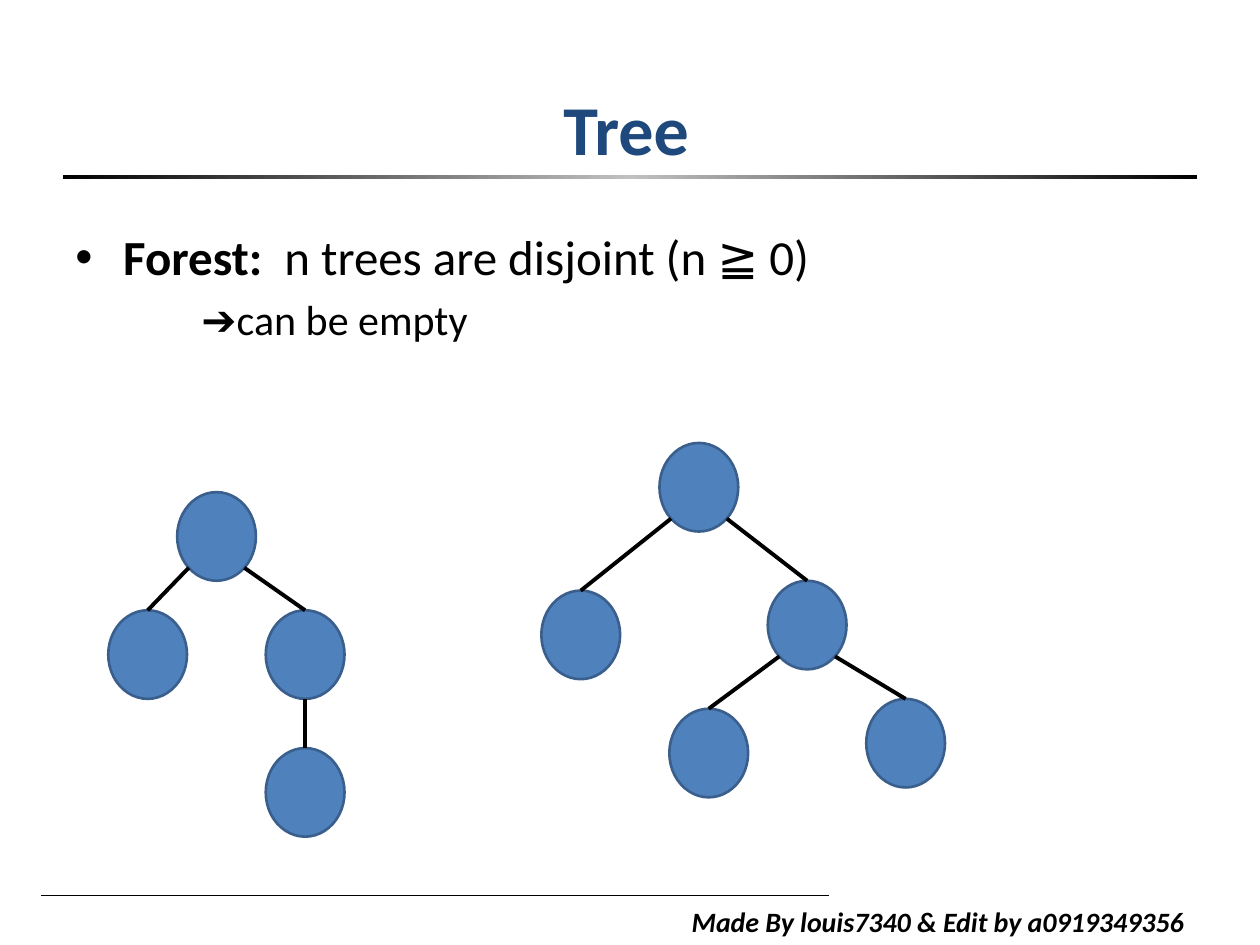
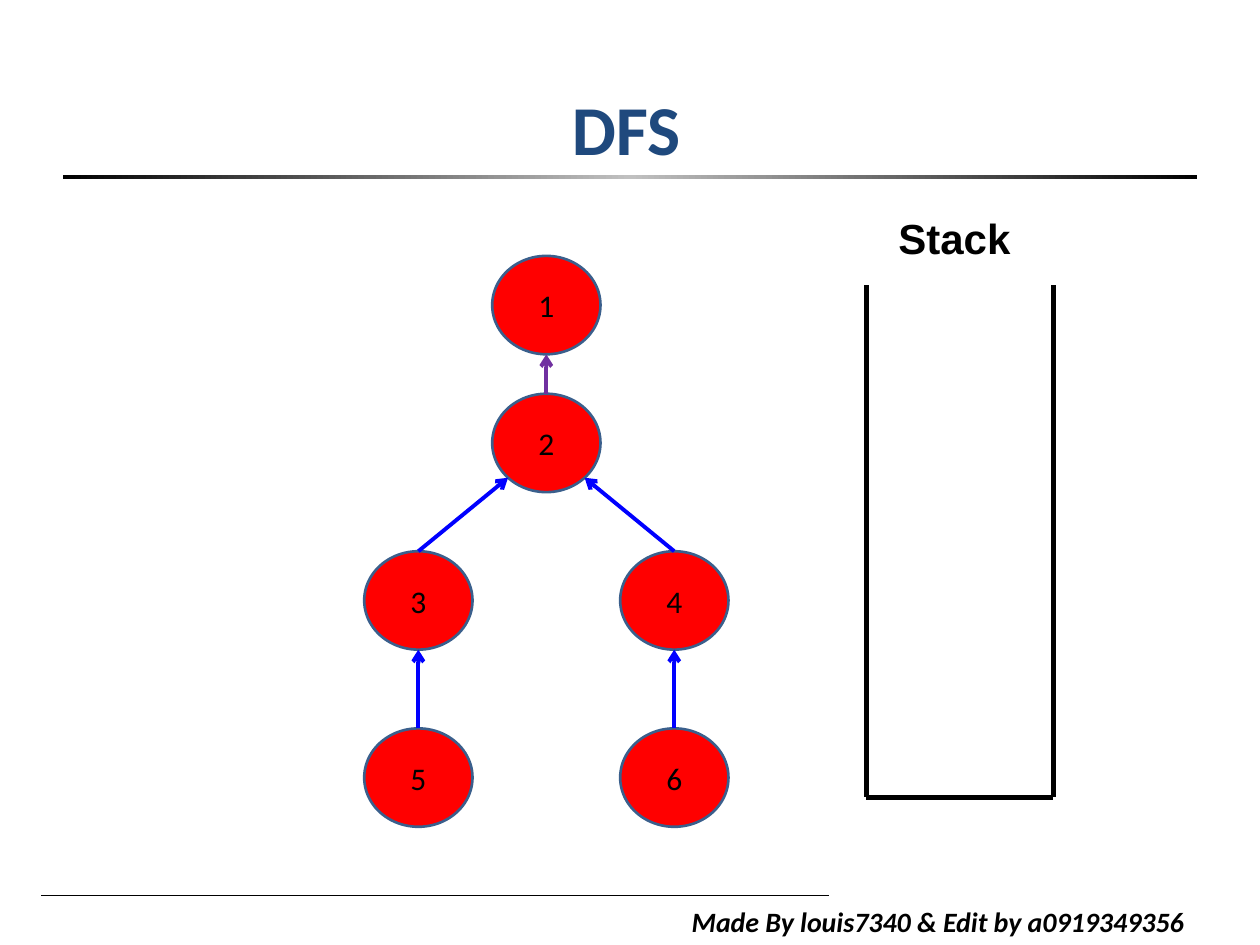
from copy import deepcopy
from dataclasses import dataclass
from math import sqrt

from lxml import etree
from pptx import Presentation
from pptx.dml.color import RGBColor
from pptx.enum.shapes import MSO_CONNECTOR, MSO_SHAPE
from pptx.enum.text import MSO_ANCHOR, PP_ALIGN
from pptx.oxml.ns import qn
from pptx.util import Inches, Pt

STRAIGHT = MSO_CONNECTOR.STRAIGHT
OVAL, RECTANGLE = MSO_SHAPE.OVAL, MSO_SHAPE.RECTANGLE
TOP, MIDDLE = MSO_ANCHOR.TOP, MSO_ANCHOR.MIDDLE
LEFT, CENTER = PP_ALIGN.LEFT, PP_ALIGN.CENTER

# The slide is a grid of 128 columns by 96 rows of square cells
WIDTH, HEIGHT = Inches(10), Inches(7.5)
CELL = WIDTH / 128
TOP_SITE = 0

BLACK, SILVER, NAVY = "000000", "C0C0C0", "1F497D"
BLUE, OUTLINE, RED = "4F81BD", "3A5F8C", "FF0000"
PURPLE, ARROW_BLUE = "7030A0", "0000FF"


@dataclass(frozen=True)
class NodeStyle:
    columns: int
    rows: int
    fill: str


@dataclass(frozen=True)
class Node:
    key: str
    column: int
    row: int
    label: str = ""


@dataclass(frozen=True)
class Edge:
    child: str
    parent: str
    side: int = 0  # -1 lower left, 0 bottom, 1 lower right of the parent
    color: str = BLACK


FOREST_STYLE = NodeStyle(8, 9, BLUE)
FOREST_NODES = [
    Node("right root", 67, 45), Node("right a", 55, 60), Node("right b", 78, 59),
    Node("right c", 68, 72), Node("right d", 88, 71),
    Node("left root", 18, 50), Node("left a", 11, 62), Node("left b", 27, 62),
    Node("left c", 27, 76),
]
FOREST_EDGES = [
    Edge("left a", "left root", -1), Edge("left b", "left root", 1),
    Edge("left c", "left b"),
    Edge("right a", "right root", -1), Edge("right b", "right root", 1),
    Edge("right c", "right b", -1), Edge("right d", "right b", 1),
]

DFS_STYLE = NodeStyle(11, 10, RED)
DFS_NODES = [
    Node(number, column, row, number)
    for number, column, row in [("1", 50, 26), ("2", 50, 40), ("3", 37, 56),
                                ("5", 37, 74), ("4", 63, 56), ("6", 63, 74)]
]
DFS_EDGES = [
    Edge("2", "1", 0, PURPLE), Edge("3", "2", -1, ARROW_BLUE),
    Edge("5", "3", 0, ARROW_BLUE), Edge("6", "4", 0, ARROW_BLUE),
    Edge("4", "2", 1, ARROW_BLUE),
]


def rgb(color: str) -> RGBColor:
    return RGBColor.from_string(color)


def cells(*counts: float) -> list[int]:
    return [round(count * CELL) for count in counts]


def write(paragraph, text: str, *, size: float, color: str = BLACK,
          font: str = "Calibri", bold: bool = False, italic: bool = False,
          align=LEFT) -> None:
    paragraph.alignment = align
    run = paragraph.add_run()
    run.text = text
    run.font.name, run.font.size = font, Pt(size)
    run.font.bold, run.font.italic = bold, italic
    run.font.color.rgb = rgb(color)


def text_frame(slide, column: float, row: float, columns: float, rows: float,
               anchor=TOP):
    frame = slide.shapes.add_textbox(*cells(column, row, columns, rows)).text_frame
    frame.word_wrap = True
    frame.vertical_anchor = anchor
    return frame


def indent(paragraph, left: float, first: float, bullet: str = "") -> None:
    properties = paragraph._p.get_or_add_pPr()
    properties.set("marL", str(Inches(left)))
    properties.set("indent", str(Inches(first)))
    if bullet:
        etree.SubElement(properties, qn("a:buFont"), typeface="Arial")
        etree.SubElement(properties, qn("a:buChar"), char=bullet)


def add_line(slide, start: tuple, end: tuple, *, color: str = BLACK,
             width: float = 2.25, arrow: bool = False):
    line = slide.shapes.add_connector(STRAIGHT, *cells(*start, *end))
    line.line.color.rgb = rgb(color)
    line.line.width = Pt(width)
    if arrow:
        etree.SubElement(line.line._get_or_add_ln(), qn("a:tailEnd"), type="arrow")
    etree.SubElement(line._element.spPr, qn("a:effectLst"))
    return line


def add_title_band(slide) -> None:
    band = slide.shapes.add_shape(RECTANGLE, *cells(6.4, 17.8, 115.2, 0.4))
    band.shadow.inherit = False
    band.line.fill.background()
    band.fill.gradient()
    band.fill.gradient_angle = 0
    stop_list = band._element.spPr.find(qn("a:gradFill")).find(qn("a:gsLst"))
    stop_list.append(deepcopy(stop_list[-1]))
    for stop, position, color in zip(band.fill.gradient_stops, (0, 0.5, 1),
                                     (BLACK, SILVER, BLACK)):
        stop.position = position
        stop.color.rgb = rgb(color)


def add_base_slide(deck, title: str):
    slide = deck.slides.add_slide(deck.slide_layouts[6])
    # Footer
    add_line(slide, (4.2, 91), (84.2, 91), width=0.5)
    footer = text_frame(slide, 69, 91.25, 57.25, 8 - 3.25)
    write(footer.paragraphs[0], "Made By louis7340 & Edit by a0919349356",
          size=16, bold=True, italic=True)
    # Title
    add_title_band(slide)
    heading = text_frame(slide, 6, 5, 115.2, 16, MIDDLE)
    write(heading.paragraphs[0], title, size=40, color=NAVY, bold=True, align=CENTER)
    return slide


def add_graph(slide, nodes: list[Node], edges: list[Edge], style: NodeStyle,
              arrow: bool = False) -> None:
    ovals = {}
    for node in nodes:
        oval = slide.shapes.add_shape(
            OVAL, *cells(node.column, node.row, style.columns, style.rows))
        oval.shadow.inherit = False
        oval.fill.solid()
        oval.fill.fore_color.rgb = rgb(style.fill)
        oval.line.color.rgb = rgb(OUTLINE)
        oval.line.width = Pt(1.5)
        if node.label:
            oval.text_frame.vertical_anchor = MIDDLE
            write(oval.text_frame.paragraphs[0], node.label, size=18, align=CENTER)
        ovals[node.key] = oval

    # Each edge runs from the child's top to the parent's lower rim
    places = {node.key: node for node in nodes}
    half_width, half_height = style.columns / 2, style.rows / 2
    for edge in edges:
        child, parent = places[edge.child], places[edge.parent]
        drop = 1 / sqrt(2) if edge.side else 1
        rim = (parent.column + half_width * (1 + edge.side / sqrt(2)),
               parent.row + half_height * (1 + drop))
        line = add_line(slide, (child.column + half_width, child.row), rim,
                        color=edge.color, arrow=arrow)
        line.begin_connect(ovals[edge.child], TOP_SITE)


def build_forest(deck) -> None:
    slide = add_base_slide(deck, "Tree")
    body = text_frame(slide, 6.4, 22.4, 115.2, 63.4)
    definition = body.paragraphs[0]
    definition.space_before = Pt(5.6)
    indent(definition, 0.38, -0.38, "•")
    write(definition, "Forest: ", size=28, bold=True)
    write(definition, " n trees are disjoint (n ≧ 0)", size=28)
    remark = body.add_paragraph()
    remark.space_before = Pt(4.8)
    indent(remark, 1.25, -0.25)
    write(remark, "➔can be empty", size=24)
    add_graph(slide, FOREST_NODES, FOREST_EDGES, FOREST_STYLE)


def build_dfs(deck) -> None:
    slide = add_base_slide(deck, "DFS")
    # Open-topped stack
    left, right, top, bottom = 88, 107, 29, 81
    corners = [(left, top), (left, bottom), (right, bottom), (right, top)]
    for start, end in zip(corners, corners[1:]):
        add_line(slide, start, end, width=3)
    label = text_frame(slide, 90, 21, 16, 6.4)
    write(label.paragraphs[0], "Stack", size=24, font="Arial", bold=True)
    add_graph(slide, DFS_NODES, DFS_EDGES, DFS_STYLE, arrow=True)


def main() -> None:
    deck = Presentation()
    deck.slide_width, deck.slide_height = WIDTH, HEIGHT
    build_forest(deck)
    build_dfs(deck)
    deck.save("out.pptx")


if __name__ == "__main__":
    main()
